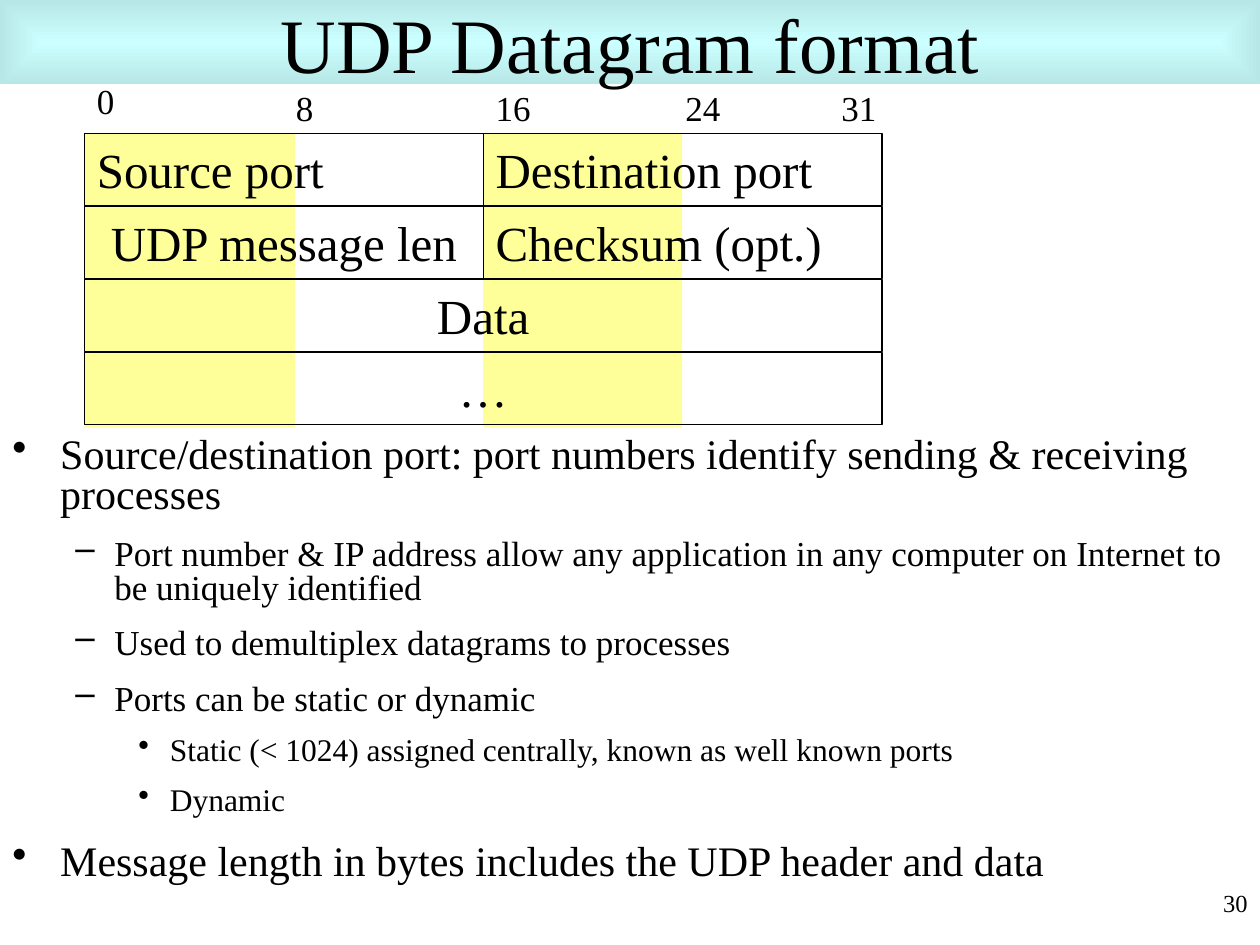
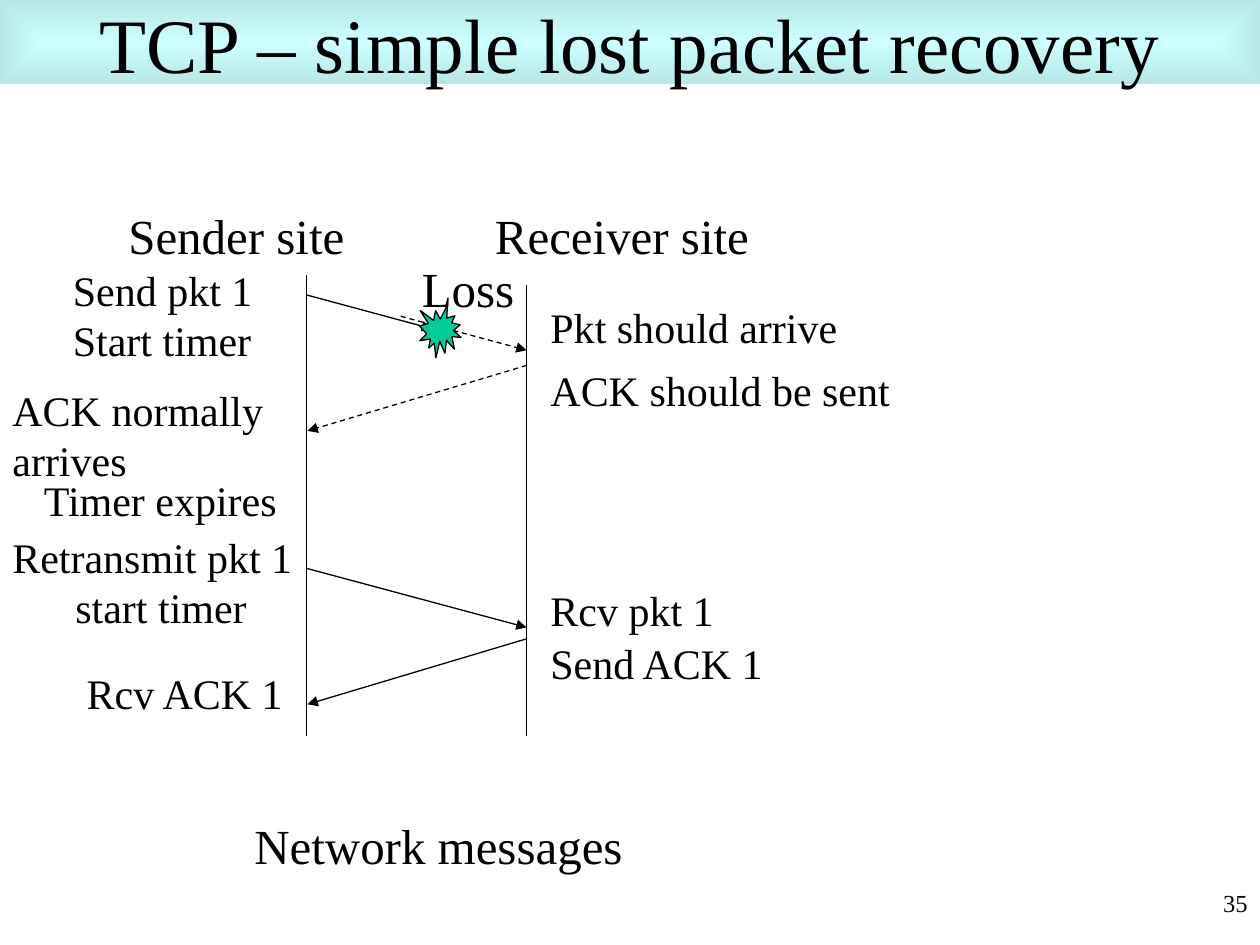
from lxml import etree
from pptx import Presentation
from pptx.dml.color import RGBColor
from pptx.enum.dml import MSO_LINE
from pptx.enum.shapes import MSO_CONNECTOR, MSO_SHAPE
from pptx.enum.text import MSO_ANCHOR, MSO_AUTO_SIZE, PP_ALIGN
from pptx.oxml import parse_xml
from pptx.oxml.ns import nsdecls, qn
from pptx.util import Inches, Pt

COLORS = {"ink": "000000", "band": "CCFFFF", "band_edge": "B8E7E7",
          "stripe": "FFFF99", "burst": "00CC99"}
FONT = "Times New Roman"
LINE_WIDTH = Pt(0.75)

# Outline levels: left margin, hanging indent, space before, size, bullet
LEVELS = [(0.38, 0.38, 15, 24, "•"), (0.81, 0.31, 12.5, 20, "–"),
          (1.25, 0.25, 11.2, 18, "•")]


def rgb(name):
    return RGBColor.from_string(COLORS[name])


def write(frame, text, size=24, align=PP_ALIGN.LEFT, anchor=MSO_ANCHOR.TOP, wrap=True):
    """Fill a text frame, one paragraph for each line of text."""
    frame.word_wrap = wrap
    frame.auto_size = MSO_AUTO_SIZE.NONE
    frame.vertical_anchor = anchor
    for number, line in enumerate(text.split("\n")):
        paragraph = frame.add_paragraph() if number else frame.paragraphs[0]
        paragraph.alignment = align
        run = paragraph.add_run()
        run.text = line
        run.font.name = FONT
        run.font.size = Pt(size)
        run.font.color.rgb = rgb("ink")
    return frame


def add_label(slide, text, left, top, width, height=0.5, **style):
    box = slide.shapes.add_textbox(*map(Inches, (left, top, width, height)))
    return write(box.text_frame, text, **style)


def add_block(slide, kind, left, top, width, height, fill=None, outlined=True):
    block = slide.shapes.add_shape(kind, *map(Inches, (left, top, width, height)))
    block.shadow.inherit = False
    if fill:
        block.fill.solid()
        block.fill.fore_color.rgb = rgb(fill)
    else:
        block.fill.background()
    if outlined:
        block.line.color.rgb = rgb("ink")
        block.line.width = LINE_WIDTH
    else:
        block.line.fill.background()
    return block


def add_line(slide, x1, y1, x2, y2, arrow=True, dashed=False):
    link = slide.shapes.add_connector(MSO_CONNECTOR.STRAIGHT,
                                      *map(Inches, (x1, y1, x2, y2)))
    link.line.color.rgb = rgb("ink")
    link.line.width = LINE_WIDTH
    if dashed:
        link.line.dash_style = MSO_LINE.DASH
    if arrow:
        etree.SubElement(link.line._get_or_add_ln(), qn("a:tailEnd"), type="triangle")
    etree.SubElement(link._element.spPr, qn("a:effectLst"))


def add_titled_slide(deck, title, number):
    """Title band and page number shared by all slides."""
    slide = deck.slides.add_slide(deck.slide_layouts[5])
    band = slide.shapes.title
    band.left, band.top, band.width, band.height = map(Inches, (0, 0, 10, 0.67))
    band.fill.gradient()
    for stop, color in zip(band.fill.gradient_stops, ("band", "band_edge")):
        stop.color.rgb = rgb(color)
    # Gradient runs from the centre out to the edges
    linear = band._element.spPr.find(".//" + qn("a:lin"))
    linear.getparent().replace(linear, parse_xml(
        f'<a:path {nsdecls("a")} path="rect">'
        '<a:fillToRect l="50000" t="50000" r="50000" b="50000"/></a:path>'))
    write(band.text_frame, title, size=44, align=PP_ALIGN.CENTER,
          anchor=MSO_ANCHOR.MIDDLE)
    add_label(slide, str(number), 7.92, 7, 2.08, size=14, align=PP_ALIGN.RIGHT)
    return slide


def add_datagram(slide, left, top, width):
    """Header fields under a bit scale, over stripes that mark the bytes."""
    half, pitch, height = width / 2, 0.58, 0.57
    for x, stripe in ((0, 1.67), (half, 1.58)):
        add_block(slide, MSO_SHAPE.RECTANGLE, left + x, top, stripe, 2.33,
                  fill="stripe", outlined=False)

    # Bit scale
    for bit, x, rise in (("0", 0, 0.48), ("8", 1.58, 0.42), ("16", half, 0.42),
                         ("24", 4.67, 0.42), ("31", 5.91, 0.42)):
        add_label(slide, bit, left + x, top - rise, 0.58, 0.44, size=20)

    # Fields, row by row
    rows = [[("Source port", PP_ALIGN.LEFT), ("Destination port", PP_ALIGN.LEFT)],
            [("UDP message len", PP_ALIGN.CENTER), ("Checksum (opt.)", PP_ALIGN.LEFT)],
            [("Data", PP_ALIGN.CENTER)],
            [("…", PP_ALIGN.CENTER)]]
    for row, fields in enumerate(rows):
        span = width / len(fields)
        for column, (name, align) in enumerate(fields):
            field = add_block(slide, MSO_SHAPE.RECTANGLE, left + column * span,
                              top + row * pitch, span, height)
            write(field.text_frame, name, size=28, align=align)


def add_outline(slide, items, left, top, width, height):
    """Bulleted text with the level of each item."""
    text = "\n".join(item for _, item in items)
    frame = add_label(slide, text, left, top, width, height)
    for paragraph, (level, _) in zip(frame.paragraphs, items):
        margin, hanging, before, size, bullet = LEVELS[level]
        paragraph.level = level
        paragraph.line_spacing = 0.8
        paragraph.space_before = Pt(before)
        paragraph.runs[0].font.size = Pt(size)
        props = paragraph._p.get_or_add_pPr()
        props.set("marL", str(Inches(margin)))
        props.set("indent", str(-Inches(hanging)))
        etree.SubElement(props, qn("a:buChar"), char=bullet)


def add_exchange(slide, left, top, width):
    """Two time lines, with the messages that pass between them."""
    right, bottom = left + width, top + 3.66

    # Time lines
    add_line(slide, left, top, left, bottom, arrow=False)
    add_line(slide, right, top + 0.08, right, bottom, arrow=False)

    # Messages: lost packet, its missing part and ACK, then the second attempt
    add_line(slide, left, top + 0.16, left + 1, top + 0.43)
    add_line(slide, left + 0.75, top + 0.33, right, top + 0.6, dashed=True)
    add_line(slide, right, top + 0.72, left + 0.01, top + 1.24, dashed=True)
    add_line(slide, left, top + 2.33, right, top + 2.8)
    add_line(slide, right, top + 2.89, left + 0.01, top + 3.41)

    # Headings and caption
    for text, x, y, span in (("Sender site", -1.51, -0.6, 1.91),
                             ("Receiver site", 1.4, -0.6, 2.21),
                             ("Loss", 0.82, -0.18, 0.93),
                             ("Network messages", -0.51, 4.24, 3.12)):
        add_label(slide, text, left + x, top + y, span, 0.57, size=28, wrap=False)

    # Sender events
    for text, x, y, span in (("Send pkt 1\nStart timer", -1.95, -0.13, 1.62),
                             ("ACK normally\narrives", -2.43, 0.82, 2.19),
                             ("Timer expires", -2.18, 1.54, 2.06),
                             ("Rcv ACK 1", -1.84, 3.07, 1.77)):
        add_label(slide, text, left + x, top + y, span, 0.9, wrap=False)
    retry = add_label(slide, "Retransmit pkt 1\nstart timer", left - 2.43,
                      top + 1.99, 2.42, 0.9, wrap=False)
    retry.paragraphs[1]._p.get_or_add_pPr().set("marL", str(Inches(0.5)))

    # Receiver events
    for text, y, span in (("Pkt should arrive", 0.16, 2.48),
                          ("ACK should be sent", 0.66, 2.89),
                          ("Rcv pkt 1", 2.41, 1.49),
                          ("Send ACK 1", 2.83, 1.9)):
        add_label(slide, text, right + 0.09, top + y, span, wrap=False)

    # Point of loss
    add_block(slide, MSO_SHAPE.EXPLOSION1, left + 0.9, top + 0.24, 0.33, 0.42,
              fill="burst")


def main():
    deck = Presentation()
    deck.slide_width, deck.slide_height = Inches(10), Inches(7.5)

    udp = add_titled_slide(deck, "UDP Datagram format", 30)
    add_outline(udp, [
        (0, "Source/destination port: port numbers identify sending & receiving processes"),
        (1, "Port number & IP address allow any application in any computer on "
            "Internet to be uniquely identified"),
        (1, "Used to demultiplex datagrams to processes"),
        (1, "Ports can be static or dynamic"),
        (2, "Static (< 1024) assigned centrally, known as well known ports"),
        (2, "Dynamic"),
        (0, "Message length in bytes includes the UDP header and data"),
    ], 0, 3.42, 10, 3.58)
    add_datagram(udp, 0.67, 1.06, 6.33)

    tcp = add_titled_slide(deck, "TCP – simple lost packet recovery", 35)
    add_exchange(tcp, 2.43, 2.18, 1.75)

    deck.save("out.pptx")


if __name__ == "__main__":
    main()
